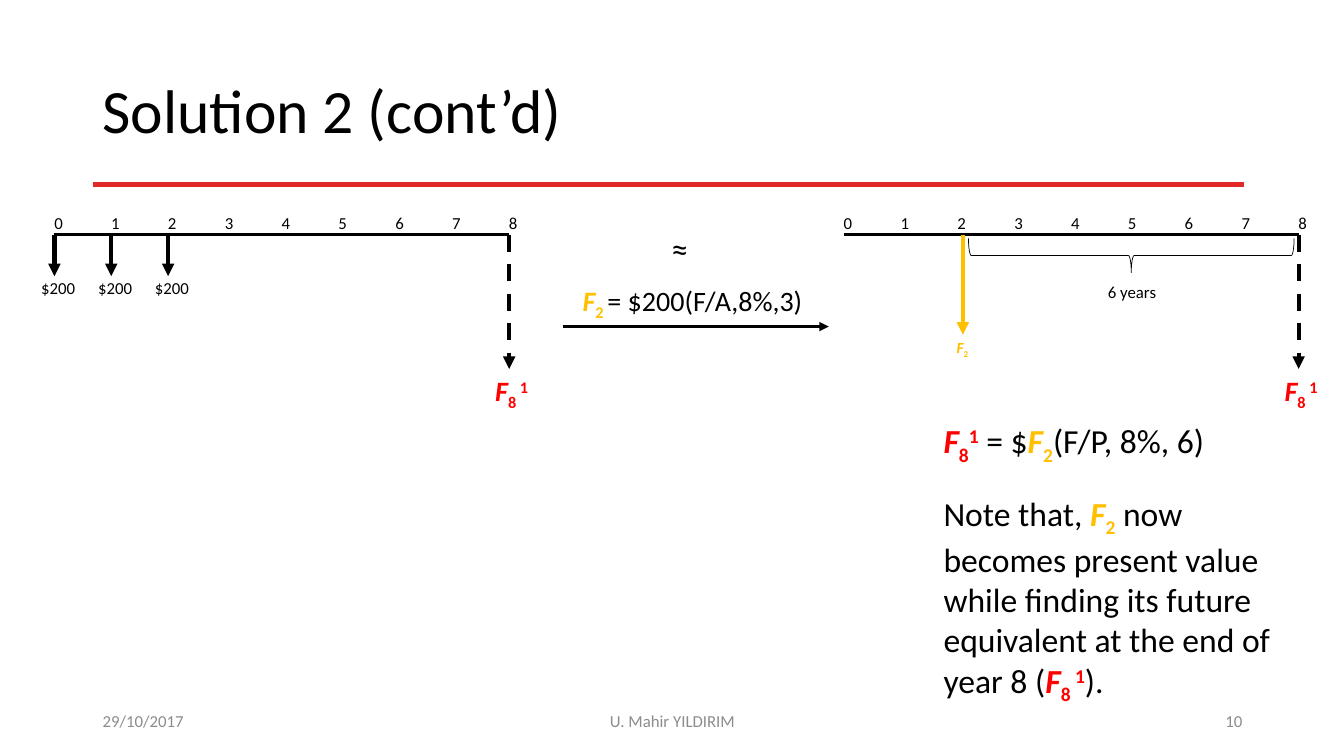
"""Build the "Solution 2 (cont'd)" cash-flow slide."""
from lxml import etree
from pptx import Presentation
from pptx import util as u
from pptx.dml.color import RGBColor
from pptx.enum import dml, shapes, text
from pptx.oxml.ns import qn

COLORS = {
    "black": "000000",
    "red": "FF0000",
    "gold": "FFC000",
    "grey": "8C8C8C",
    "rule": "E12927",
}
FONT = "Calibri"
BASELINES = {"sub": "-25000", "sup": "30000"}
AXIS_Y = 2.33
YEARS = 8
YEAR_STEP = 4.51 / YEARS
LEFT_AXIS = 0.54
RIGHT_AXIS = 8.37


def rgb(name):
    """Return the named colour."""
    return RGBColor.from_string(COLORS[name])


def plain(words, color="black"):
    """Return one unstyled run."""
    return [(words, color, "plain")]


def symbol(sub, color, sup=None):
    """Return the runs of F with its subscript and optional superscript."""
    runs = [("F", color, "var"), (sub, color, "sub")]
    return runs + [(sup, color, "sup")] if sup else runs


def add_text(s, box, runs, size, align="LEFT", middle=False, wrap=True, spacing=None):
    """Add a one-paragraph text box run by run."""
    tf = s.shapes.add_textbox(*map(u.Inches, box)).text_frame
    tf.word_wrap = wrap
    if middle:
        tf.vertical_anchor = text.MSO_ANCHOR.MIDDLE
    else:
        tf.auto_size = text.MSO_AUTO_SIZE.SHAPE_TO_FIT_TEXT
    p = tf.paragraphs[0]
    p.alignment = text.PP_ALIGN[align]
    if spacing:
        p.line_spacing = spacing
    for words, color, style in runs:
        r = p.add_run()
        r.text = words
        r.font.name = FONT
        r.font.size = u.Pt(size)
        r.font.color.rgb = rgb(color)
        r.font.bold = style != "plain"
        r.font.italic = style == "var"
        if style in BASELINES:
            r.font._element.set("baseline", BASELINES[style])


def add_line(s, start, end, color="black", width=3, dashed=False, arrow=False):
    """Add a straight line, optionally dashed or with an arrowhead."""
    points = map(u.Inches, (*start, *end))
    line = s.shapes.add_connector(shapes.MSO_CONNECTOR.STRAIGHT, *points)
    line.line.color.rgb = rgb(color)
    line.line.width = u.Pt(width)
    if dashed:
        line.line.dash_style = dml.MSO_LINE.DASH
    if arrow:
        ln = line.line._get_or_add_ln()
        etree.SubElement(ln, qn("a:tailEnd"), type="triangle")
    etree.SubElement(line._element.spPr, qn("a:effectLst"))


def add_down_arrow(s, x, bottom, **style):
    """Add a cash-flow arrow hanging from the time axis."""
    add_line(s, (x, AXIS_Y), (x, bottom), arrow=True, **style)


def add_timeline(s, x):
    """Add a numbered time axis ending in the future value."""
    end = x + YEARS * YEAR_STEP
    add_line(s, (x, AXIS_Y), (end, AXIS_Y), width=2.25)
    for year in range(YEARS + 1):
        left = x - 0.1 + year * YEAR_STEP
        add_text(s, (left, 2.06, 0.2, 0.3), plain(str(year)), 12)
    add_down_arrow(s, end, 3.66, dashed=True)
    add_text(s, (end - 0.48, 3.66, 1.01, 0.44), symbol("8 ", "red", "1"), 20, "CENTER")


def add_deposits(s):
    """Add the three yearly deposits to the left axis."""
    for year in range(3):
        x = LEFT_AXIS + year * YEAR_STEP
        add_down_arrow(s, x, 2.74)
        add_text(s, (x - 0.23, 2.71, 1.01, 0.3), plain("$200"), 12)


def add_brace(s):
    """Add the brace that spans years two to eight."""
    box = map(u.Inches, (11.05, 0.92, 0.34, 3.23))
    brace = s.shapes.add_shape(shapes.MSO_SHAPE.RIGHT_BRACE, *box)
    brace.rotation = 90
    brace.shadow.inherit = False
    brace.fill.background()
    brace.line.color.rgb = rgb("black")
    brace.line.width = u.Pt(0.5)
    add_text(s, (10.89, 2.75, 0.76, 0.3), plain("6 years"), 12)


def add_frame(s):
    """Add the title, its rule and the footer."""
    add_line(s, (0.92, 1.83), (12.34, 1.83), "rule")
    title = plain("Solution 2 (cont’d)")
    add_text(s, (0.92, 0.4, 11.5, 1.45), title, 44, middle=True, spacing=0.9)
    for left, width, words, align in (
        (0.92, 3, "29/10/2017", "LEFT"),
        (4.42, 4.5, "U. Mahir YILDIRIM", "CENTER"),
        (9.42, 3, "10", "RIGHT"),
    ):
        add_text(s, (left, 6.95, width, 0.4), plain(words, "grey"), 12, align, middle=True)


def add_conversion(s):
    """Add the step that turns the deposits into one value."""
    add_text(s, (6.56, 2.21, 0.37, 0.5), plain("≈"), 24, wrap=False)
    formula = symbol("2 ", "gold") + plain("= $200(F/A,8%,3)")
    add_text(s, (5.68, 2.76, 2.45, 0.44), formula, 20, wrap=False)
    add_line(s, (5.58, 3.24), (8.22, 3.24), width=2.25, arrow=True)


def add_result(s):
    """Add the future value formula and its note."""
    formula = (symbol("8", "red", "1") + plain(" = $")
               + symbol("2", "gold") + plain("(F/P, 8%, 6)"))
    add_text(s, (9.26, 4.12, 3.61, 0.5), formula, 24)
    note = (plain("Note that, ") + symbol("2", "gold")
            + plain(" now becomes present value while finding its future "
                    "equivalent at the end of year 8 (")
            + symbol("8 ", "red", "1") + plain(")."))
    add_text(s, (9.26, 4.84, 3.61, 2.12), note, 24)


def main():
    """Build and save the slide."""
    prs = Presentation()
    prs.slide_width, prs.slide_height = u.Inches(13.33), u.Inches(7.5)
    s = prs.slides.add_slide(prs.slide_layouts[6])
    add_frame(s)
    add_timeline(s, RIGHT_AXIS)
    add_timeline(s, LEFT_AXIS)
    add_deposits(s)
    add_conversion(s)
    add_down_arrow(s, 9.55, 3.32, color="gold")
    add_text(s, (9.2, 3.31, 0.69, 0.29), symbol("2", "gold"), 11, "CENTER")
    add_brace(s)
    add_result(s)
    prs.save("out.pptx")


if __name__ == "__main__":
    main()
